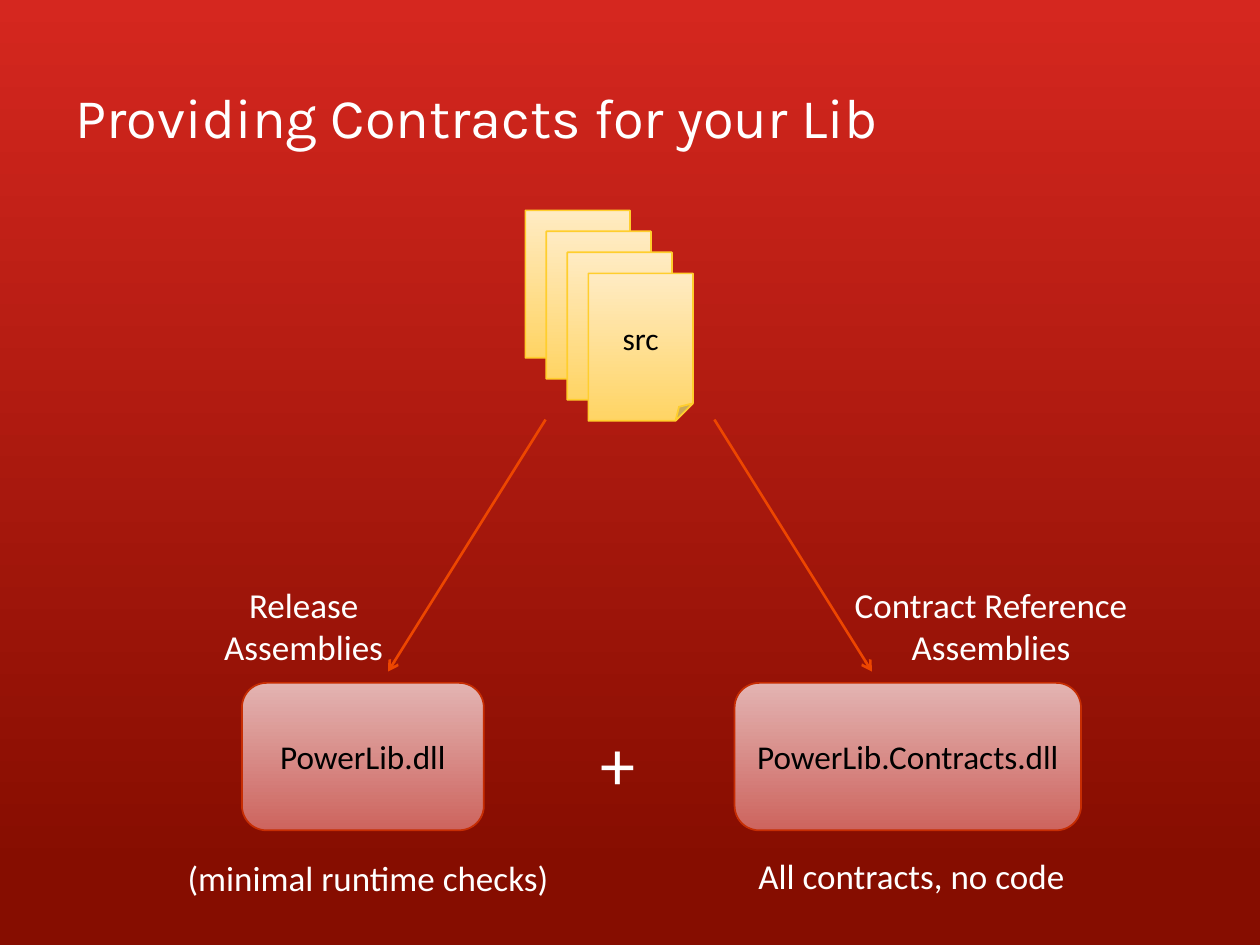
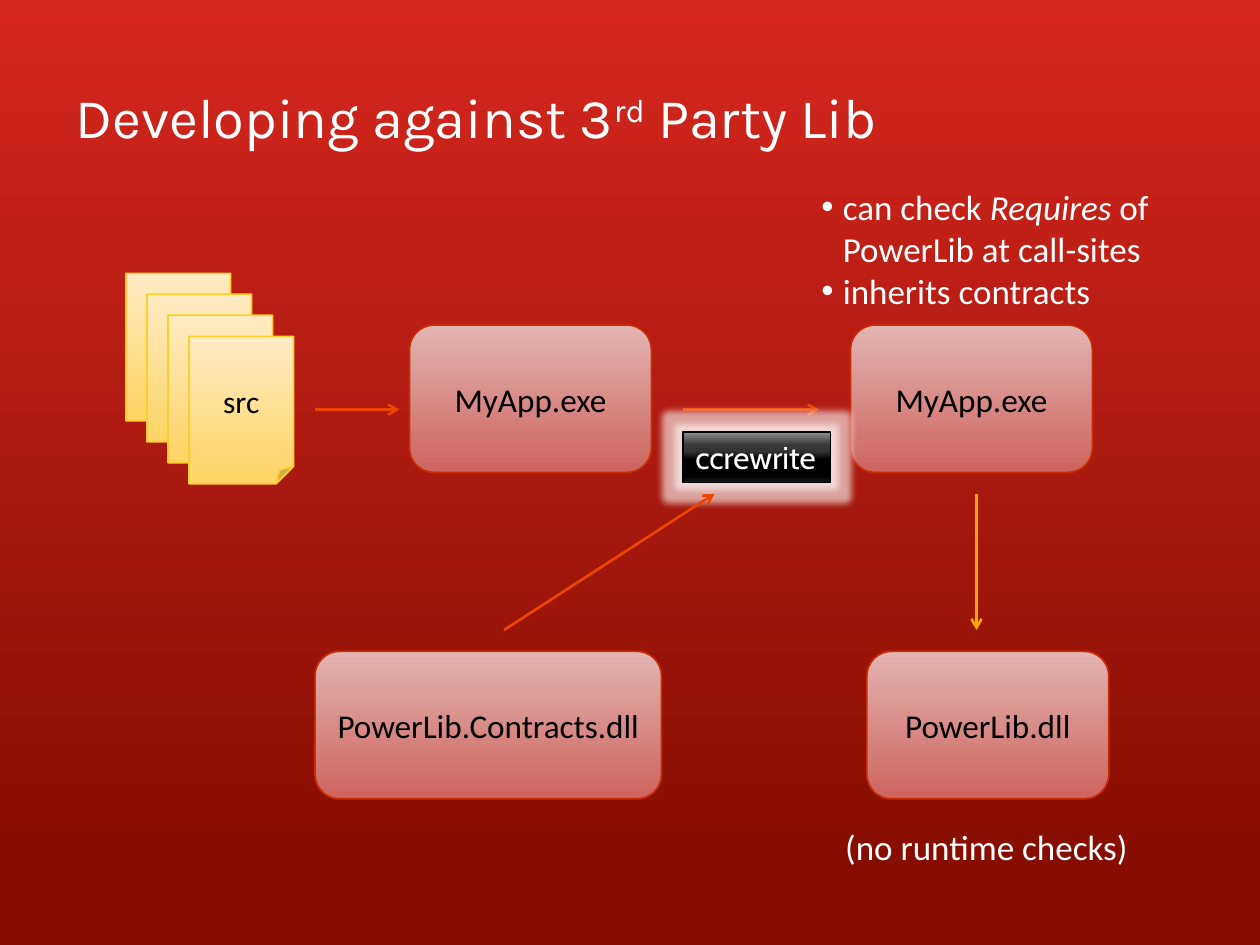
"""Build two slides on shipping and using library contracts."""
import pptx
import pptx.util
import pptx.dml.color
import pptx.enum.shapes
import pptx.enum.text
import pptx.oxml
import pptx.oxml.ns
from lxml import etree

Inches = pptx.util.Inches
Pt = pptx.util.Pt
SHAPE = pptx.enum.shapes.MSO_SHAPE
ALIGN = pptx.enum.text.PP_ALIGN
ANCHOR = pptx.enum.text.MSO_ANCHOR
qn = pptx.oxml.ns.qn

WHITE, BLACK = "FFFFFF", "000000"
ORANGE, AMBER = "ED4600", "FFA600"
BACK = [(0, "D5271F"), (92, "860D00")]
PAGE = [(0, "FFEBC3"), (100, "FFD464")]
ROSE = [(0, "E3B4B2"), (100, "CD645E")]
GLOSS = [(0, "909090"), (25, "393939"), (38, "323232"), (55, BLACK),
         (88, BLACK), (100, "181818")]
BOX_W, WIDE_W, BOX_H = 1.92, 2.75, 1.17


def rgb(code):
    return pptx.dml.color.RGBColor.from_string(code)


def place(left, top, width, height):
    return [Inches(n) for n in (left, top, width, height)]


def shade(fill, root, stops):
    fill.gradient()
    fill.gradient_angle = 270
    area = root.find(".//" + qn("a:gsLst"))
    for old in list(area):
        area.remove(old)
    for pos, code in stops:
        stop = etree.SubElement(area, qn("a:gs"), pos=str(pos * 1000))
        etree.SubElement(stop, qn("a:srgbClr"), val=code)


def style(frame, size, color, face="Calibri", align=ALIGN.LEFT):
    for para in frame.paragraphs:
        para.alignment = align
        for run in para.runs:
            run.font.size = Pt(size)
            run.font.name = face
            run.font.color.rgb = rgb(color)


def add_runs(para, parts):
    for part in parts:
        para.add_run().text = part


def add_slide(deck, parts, width=9):
    slide = deck.slides.add_slide(deck.slide_layouts[5])
    title = slide.shapes.title
    title.left, title.top, title.width, title.height = place(0.5, 0.3, width, 1.25)
    frame = title.text_frame
    frame.vertical_anchor = ANCHOR.MIDDLE
    add_runs(frame.paragraphs[0], parts)
    style(frame, 32, WHITE, "Karla")
    return slide


def add_block(slide, kind, spot, stops, edge, text="", size=19, weight=1):
    shape = slide.shapes.add_shape(kind, *place(*spot))
    shape.shadow.inherit = False
    shade(shape.fill, shape._element, stops)
    shape.line.color.rgb = rgb(edge)
    shape.line.width = Pt(weight)
    shape.text_frame.text = text
    style(shape.text_frame, size, BLACK, align=ALIGN.CENTER)
    return shape


def add_file(slide, left, top, text, width=BOX_W):
    add_block(slide, SHAPE.ROUNDED_RECTANGLE, (left, top, width, BOX_H),
              ROSE, "C62D03", text)


def add_pages(slide, left, top, count=4):
    for i in range(count):
        text = "src" if i == count - 1 else ""
        add_block(slide, SHAPE.FOLDED_CORNER,
                  (left + i / 6, top + i / 6, 0.83, 1.17),
                  PAGE, "FFCE2D", text, 18)


def add_arrow(slide, start, end, color=ORANGE):
    line = slide.shapes.add_connector(
        pptx.enum.shapes.MSO_CONNECTOR.STRAIGHT,
        *[Inches(n) for n in start + end])
    line.line.color.rgb = rgb(color)
    line.line.width = Pt(1.5)
    etree.SubElement(line.line._get_or_add_ln(), qn("a:tailEnd"), type="arrow")
    etree.SubElement(line._element.spPr, qn("a:effectLst"))


def add_label(slide, spot, text, size=20, align=ALIGN.LEFT):
    box = slide.shapes.add_textbox(*place(*spot))
    box.text_frame.text = text
    style(box.text_frame, size, WHITE, align=align)


def add_list(slide, spot):
    frame = slide.shapes.add_textbox(*place(*spot)).text_frame
    first, last = frame.paragraphs[0], frame.add_paragraph()
    add_runs(first, ["can check ", "Requires", " of"])
    first.add_line_break()
    add_runs(first, ["PowerLib at call-sites"])
    last.text = "inherits contracts"
    for para in (first, last):
        props = para._p.get_or_add_pPr()
        props.set("marL", str(Inches(0.17)))
        props.set("indent", str(-Inches(0.17)))
        etree.SubElement(props, qn("a:buFont"), typeface="Arial")
        etree.SubElement(props, qn("a:buChar"), char="•")
    style(frame, 20, WHITE)
    first.runs[1].font.italic = True


def add_tool(slide, spot, text):
    shape = add_block(slide, SHAPE.RECTANGLE, spot, GLOSS, BLACK, text, weight=0.75)
    shape.text_frame.vertical_anchor = ANCHOR.TOP
    style(shape.text_frame, 18, WHITE, "Cabin")
    effects = shape._element.spPr.find(qn("a:effectLst"))
    glow = etree.SubElement(effects, qn("a:glow"), rad=str(Inches(0.11)))
    tint = etree.SubElement(glow, qn("a:srgbClr"), val=WHITE)
    etree.SubElement(tint, qn("a:alpha"), val="60000")


def show_build(deck):
    slide = add_slide(deck, ["Providing Contracts for your Lib"])
    add_pages(slide, 4.17, 1.67)
    add_arrow(slide, (4.33, 3.33), (3.08, 5.33))
    add_arrow(slide, (5.67, 3.33), (6.92, 5.33))
    add_file(slide, 1.92, 5.42, "PowerLib.dll")
    add_file(slide, 5.83, 5.42, "PowerLib.Contracts.dll", WIDE_W)
    add_label(slide, (1.39, 6.75, 3.1, 0.44), "(minimal runtime checks)")
    add_label(slide, (5.92, 6.73, 2.66, 0.44), "All contracts, no code")
    add_label(slide, (4.67, 5.67, 0.48, 0.77), "+", 40)
    add_label(slide, (1.67, 4.58, 1.48, 0.77), "Release\vAssemblies",
              align=ALIGN.CENTER)
    add_label(slide, (6.67, 4.58, 2.39, 0.77), "Contract Reference\vAssemblies",
              align=ALIGN.CENTER)


def show_use(deck):
    slide = add_slide(deck, ["Developing against 3", "rd", " Party Lib"], 9.08)
    power = slide.shapes.title.text_frame.paragraphs[0].runs[1]
    power._r.get_or_add_rPr().set("baseline", "30000")
    add_file(slide, 6.88, 5.17, "PowerLib.dll")
    add_file(slide, 2.5, 5.17, "PowerLib.Contracts.dll", WIDE_W)
    add_label(slide, (6.61, 6.5, 2.47, 0.44), "(no runtime checks)")
    add_pages(slide, 1, 2.17)
    for left in (3.25, 6.75):
        add_file(slide, left, 2.58, "MyApp.exe")
    add_arrow(slide, (2.5, 3.25), (3.17, 3.25))
    add_arrow(slide, (5.42, 3.25), (6.5, 3.25))
    add_tool(slide, (5.42, 3.43, 1.17, 0.4), "ccrewrite")
    add_arrow(slide, (4, 5), (5.67, 3.92))
    add_arrow(slide, (7.75, 3.92), (7.75, 5), AMBER)
    add_list(slide, (6.42, 1.42, 2.92, 1.11))


def main():
    deck = pptx.Presentation()
    deck.slide_width, deck.slide_height = Inches(10), Inches(7.5)
    master = deck.slide_master
    shade(master.background.fill, master._element, BACK)
    show_build(deck)
    show_use(deck)
    deck.save("out.pptx")


if __name__ == "__main__":
    main()
